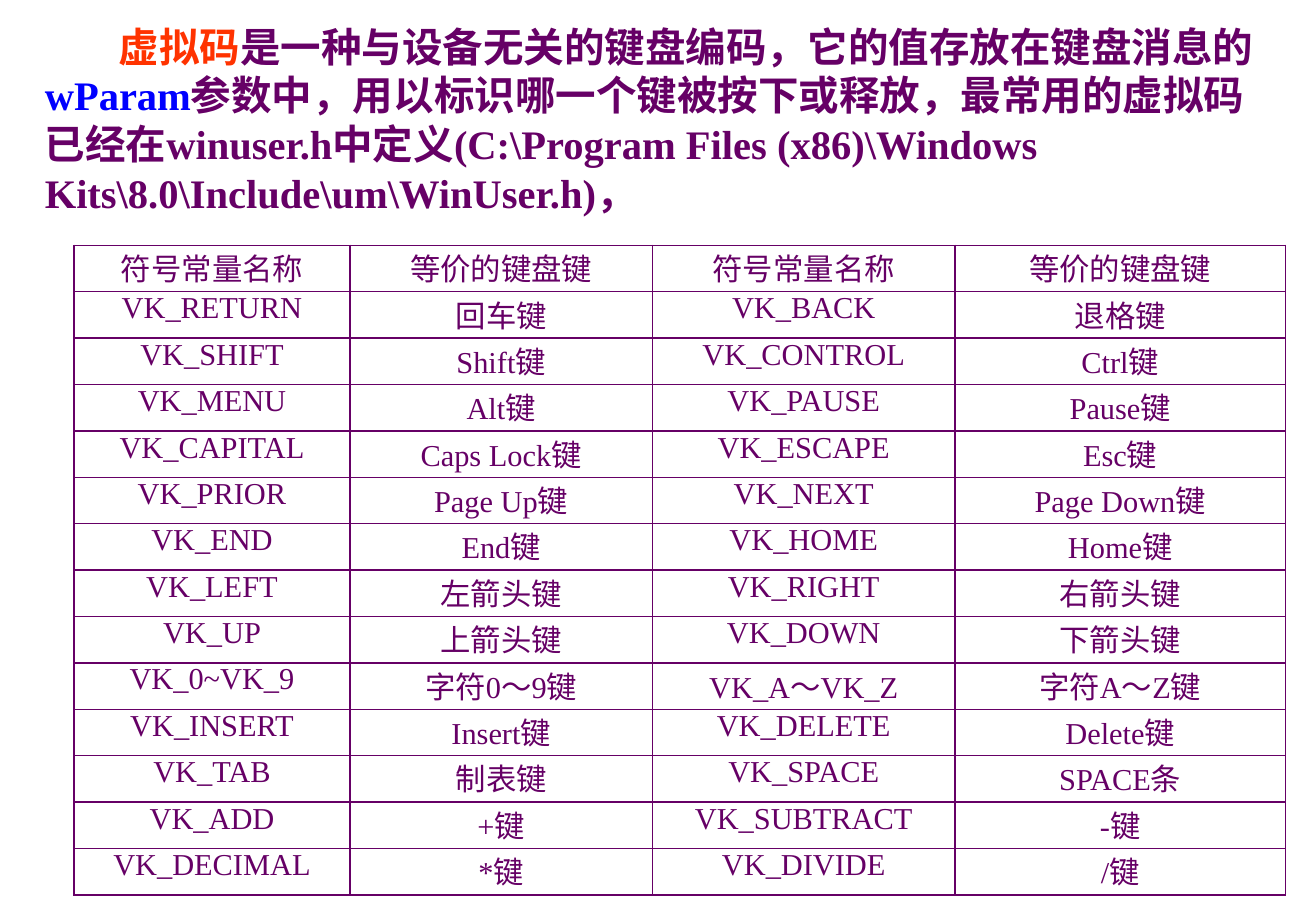
"""Build the slide on virtual key codes: an introduction above a table of keys."""
from lxml import etree
from pptx import Presentation
from pptx import util as u
from pptx.dml.color import RGBColor
from pptx.enum import lang, text
from pptx.oxml.ns import qn

HUES = {"plum": "660066", "red": "FF3300", "blue": "0000FF"}
FACE = "Times New Roman"


def add_run(para, words, size, hue="plum", bold=False):
    run = para.add_run()
    run.text = words
    font = run.font
    font.name, font.size, font.bold = FACE, u.Pt(size), bold
    font.color.rgb = RGBColor.from_string(HUES[hue])
    font.language_id = lang.MSO_LANGUAGE_ID.SIMPLIFIED_CHINESE


def add_edges(cell):
    props = cell._tc.get_or_add_tcPr()
    for at, side in enumerate(("lnL", "lnR", "lnT", "lnB")):
        line = etree.Element(qn("a:" + side), w=str(u.Pt(1)))
        fill = etree.SubElement(line, qn("a:solidFill"))
        etree.SubElement(fill, qn("a:srgbClr"), val=HUES["plum"])
        props.insert(at, line)


deck = Presentation()
deck.slide_width, deck.slide_height = u.Inches(10.83), u.Inches(7.5)
wide, high = deck.slide_width, deck.slide_height
slide = deck.slides.add_slide(deck.slide_layouts[6])

box = slide.shapes.add_textbox(u.Inches(0.27), u.Inches(0.13), u.Inches(10.31), u.Inches(1.72))
frame = box.text_frame
frame.word_wrap = True
frame.auto_size = text.MSO_AUTO_SIZE.SHAPE_TO_FIT_TEXT
intro = frame.paragraphs[0]
intro._p.get_or_add_pPr().set("indent", str(u.Inches(0.61)))
parts = [
    ("虚拟码", "red"),
    ("是一种与设备无关的键盘编码，它的值存放在键盘消息的", "plum"),
    ("wParam", "blue"),
    ("参数中，用以标识哪一个键被按下或释放，最常用的虚拟码已经在winuser.h中定义"
     "(C:\\Program Files (x86)\\Windows Kits\\8.0\\Include\\um\\WinUser.h)，", "plum"),
]
for words, hue in parts:
    add_run(intro, words, 24, hue, True)

keys = [
    ("符号常量名称", "等价的键盘键") * 2,
    ("VK_RETURN", "回车键", "VK_BACK", "退格键"),
    ("VK_SHIFT", "Shift键", "VK_CONTROL", "Ctrl键"),
    ("VK_MENU", "Alt键", "VK_PAUSE", "Pause键"),
    ("VK_CAPITAL", "Caps Lock键", "VK_ESCAPE", "Esc键"),
    ("VK_PRIOR", "Page Up键", "VK_NEXT", "Page Down键"),
    ("VK_END", "End键", "VK_HOME", "Home键"),
    ("VK_LEFT", "左箭头键", "VK_RIGHT", "右箭头键"),
    ("VK_UP", "上箭头键", "VK_DOWN", "下箭头键"),
    ("VK_0~VK_9", "字符0～9键", "VK_A～VK_Z", "字符A～Z键"),
    ("VK_INSERT", "Insert键", "VK_DELETE", "Delete键"),
    ("VK_TAB", "制表键", "VK_SPACE", "SPACE条"),
    ("VK_ADD", "+键", "VK_SUBTRACT", "-键"),
    ("VK_DECIMAL", "*键", "VK_DIVIDE", "/键"),
]
spans = [2.27, 2.49, 2.49, 2.72]
grid = slide.shapes.add_table(
    len(keys), len(spans), u.Inches(0.61), u.Inches(2.02),
    u.Inches(sum(spans)), u.Inches(5.35)).table
grid.first_row = grid.horz_banding = False
for col, span in zip(grid.columns, spans):
    col.width = u.Inches(span)

for row, names in enumerate(keys):
    for col, name in enumerate(names):
        cell = grid.cell(row, col)
        cell.margin_left = cell.margin_right = u.Inches(0.07)
        cell.margin_top = cell.margin_bottom = 0
        cell.fill.background()
        add_edges(cell)
        para = cell.text_frame.paragraphs[0]
        para.alignment = text.PP_ALIGN.CENTER
        add_run(para, name, 18)

deck.save("out.pptx")
